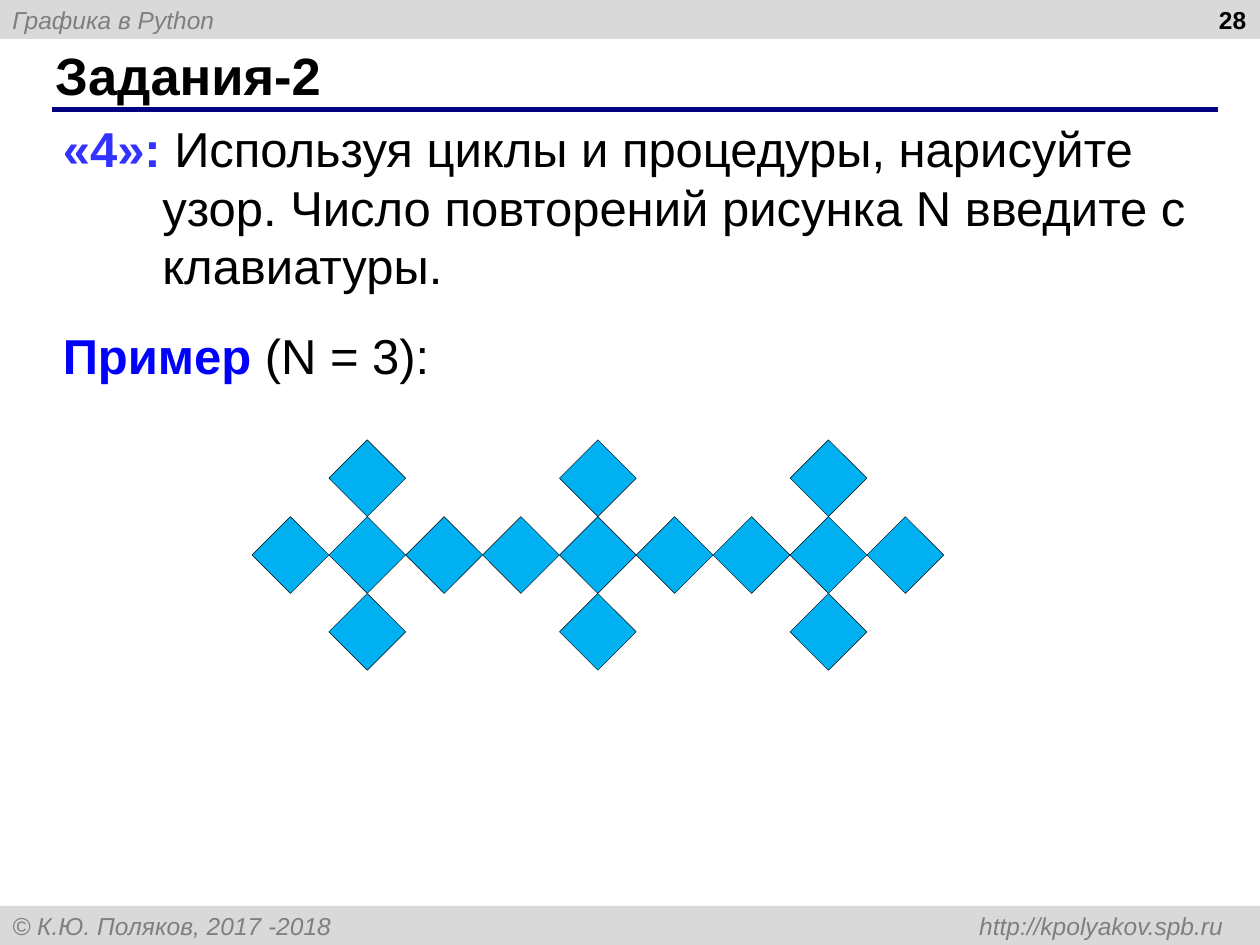
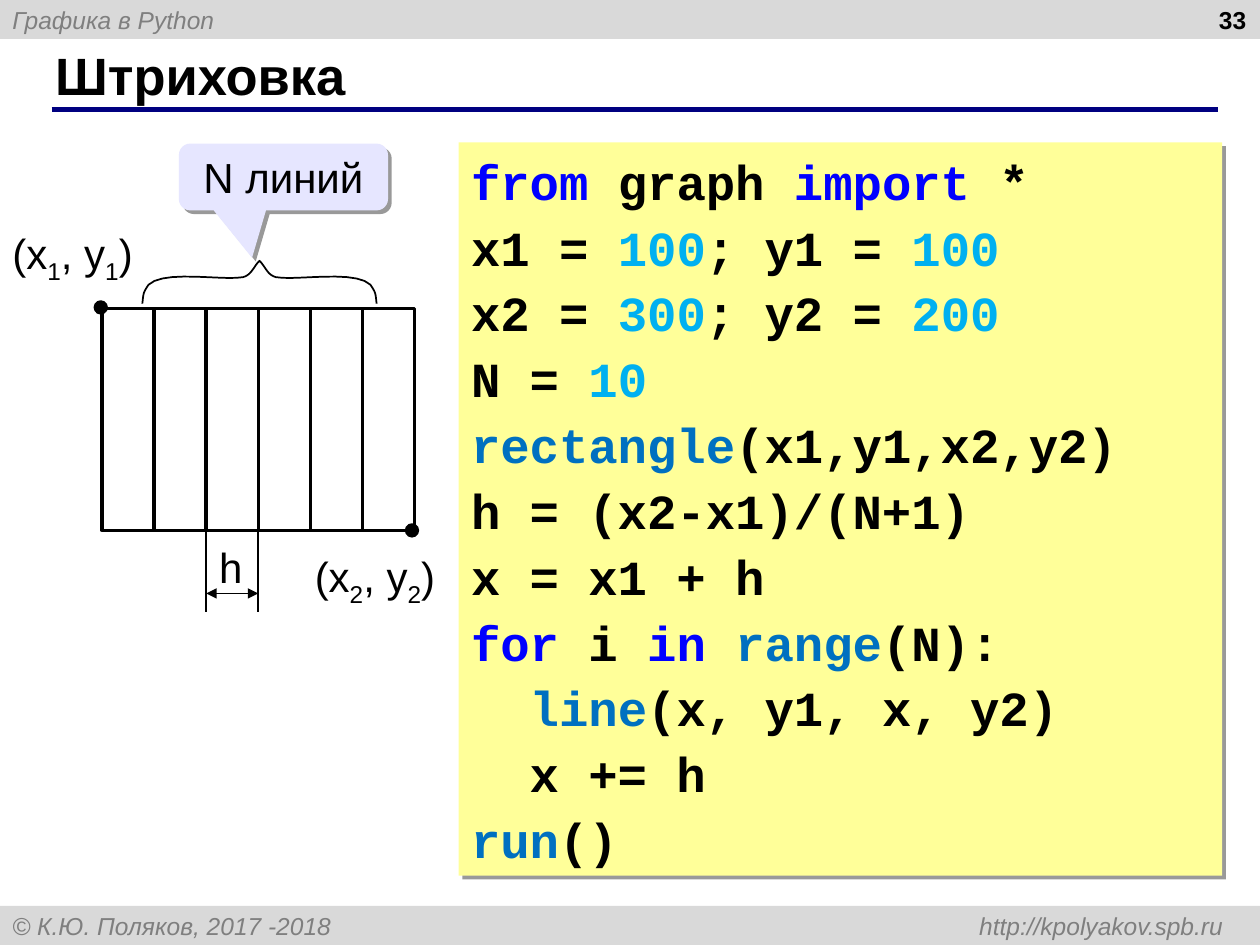
from lxml import etree
from pptx import Presentation
from pptx.dml.color import RGBColor
from pptx.enum.shapes import MSO_CONNECTOR, MSO_SHAPE
from pptx.enum.text import MSO_ANCHOR, PP_ALIGN
from pptx.oxml.ns import qn
from pptx.util import Inches, Pt

STRAIGHT = MSO_CONNECTOR.STRAIGHT
RECTANGLE, DIAMOND, OVAL = MSO_SHAPE.RECTANGLE, MSO_SHAPE.DIAMOND, MSO_SHAPE.OVAL
CALLOUT = MSO_SHAPE.ROUNDED_RECTANGULAR_CALLOUT
TOP, MIDDLE = MSO_ANCHOR.TOP, MSO_ANCHOR.MIDDLE
LEFT, CENTER, RIGHT = PP_ALIGN.LEFT, PP_ALIGN.CENTER, PP_ALIGN.RIGHT

SANS, MONO = "Arial", "Courier New"
BLACK, GRAY, BAND = "000000", "7F7F7F", "D9D9D9"
NAVY, BLUE, GRADE_BLUE = "000080", "0000FF", "3333FF"
NUMBER, FUNCTION = "00B0F0", "0070C0"
LAVENDER, YELLOW = "E6E6FF", "FFFF99"
BAND_HEIGHT = 0.31


def color(value):
    return RGBColor.from_string(value)


def add_run(paragraph, text, size, ink=BLACK, bold=False, italic=False, font=SANS):
    run = paragraph.add_run()
    run.text = text
    run.font.name = font
    run.font.size = Pt(size)
    run.font.bold = bold
    run.font.italic = italic
    run.font.color.rgb = color(ink)
    return run


def set_frame(shape, anchor=TOP, wrap=True, align=LEFT, top_inset=0.05):
    frame = shape.text_frame
    frame.word_wrap = wrap
    frame.vertical_anchor = anchor
    frame.margin_left = frame.margin_right = Inches(0.1)
    frame.margin_top, frame.margin_bottom = Inches(top_inset), Inches(0.05)
    frame.paragraphs[0].alignment = align
    return frame


def add_text_box(slide, left, top, width, height, **options):
    box = slide.shapes.add_textbox(Inches(left), Inches(top), Inches(width), Inches(height))
    return set_frame(box, **options)


def add_shape(shapes, kind, left, top, width, height, fill=None, line_width=None):
    shape = shapes.add_shape(kind, Inches(left), Inches(top), Inches(width), Inches(height))
    shape.shadow.inherit = False
    if fill:
        shape.fill.solid()
        shape.fill.fore_color.rgb = color(fill)
    else:
        shape.fill.background()
    if line_width:
        shape.line.color.rgb = color(BLACK)
        shape.line.width = Pt(line_width)
    else:
        shape.line.fill.background()
    return shape


def add_drop_shadow(shape):
    effects = shape._element.spPr.find(qn("a:effectLst"))
    shadow = etree.SubElement(effects, qn("a:outerShdw"), dist=str(Pt(3)),
                              dir="2700000", algn="tl", rotWithShape="0")
    ink = etree.SubElement(shadow, qn("a:srgbClr"), val=BLACK)
    etree.SubElement(ink, qn("a:alpha"), val="40000")


def add_line(slide, x1, y1, x2, y2, width, ink=BLACK, arrows=False):
    line = slide.shapes.add_connector(STRAIGHT, Inches(x1), Inches(y1), Inches(x2), Inches(y2))
    line.line.color.rgb = color(ink)
    line.line.width = Pt(width)
    if arrows:
        properties = line.line._get_or_add_ln()
        for end in ("a:headEnd", "a:tailEnd"):
            etree.SubElement(properties, qn(end), type="triangle")
    etree.SubElement(line._element.spPr, qn("a:effectLst"))
    return line


def add_band(slide, top, text, tab=None):
    band = add_shape(slide.shapes, RECTANGLE, 0, top, 10, BAND_HEIGHT, BAND)
    paragraph = set_frame(band, MIDDLE).paragraphs[0]
    if tab:
        tabs = etree.SubElement(paragraph._p.get_or_add_pPr(), qn("a:tabLst"))
        etree.SubElement(tabs, qn("a:tab"), pos=str(Inches(tab)), algn="r")
    add_run(paragraph, text, 14, GRAY, italic=True)


def add_base_slide(presentation, title, number):
    slide = presentation.slides.add_slide(presentation.slide_layouts[6])
    add_band(slide, 0, "Графика в Python")
    add_band(slide, 7.5 - BAND_HEIGHT,
             "© К.Ю. Поляков, 2017 -2018\thttp://kpolyakov.spb.ru", tab=9.61)
    add_line(slide, 0.41, 0.87, 9.67, 0.87, 3, NAVY)
    heading = add_text_box(slide, 0.34, 0.33, 9.16, 0.52, anchor=MIDDLE)
    add_run(heading.paragraphs[0], title, 30, bold=True)
    page = add_text_box(slide, 7.66, 0, 2.33, BAND_HEIGHT, anchor=MIDDLE, align=RIGHT)
    add_run(page.paragraphs[0], number, 14, bold=True)
    return slide


def add_lines(frame, lines, space, bold_ink_only, font=SANS, hanging=0):
    for index, runs in enumerate(lines):
        paragraph = frame.add_paragraph() if index else frame.paragraphs[0]
        paragraph.alignment = LEFT
        paragraph.space_before = Pt(space if index else 0)
        if hanging:
            properties = paragraph._p.get_or_add_pPr()
            properties.set("marL", str(Inches(hanging)))
            properties.set("indent", str(-Inches(hanging)))
        for text, ink in runs:
            bold = ink != BLACK or not bold_ink_only
            add_run(paragraph, text, 28, ink, bold=bold, font=font)


def add_cross(slide, left, top, size):
    group = slide.shapes.add_group_shape()
    for column, row in ((0, 1), (1, 1), (2, 1), (1, 0), (1, 2)):
        add_shape(group.shapes, DIAMOND, left + column * size, top + row * size,
                  size, size, NUMBER, 0.25)


def add_point_label(slide, left, top, index):
    paragraph = add_text_box(slide, left, top, 1.24, 0.56, wrap=False).paragraphs[0]
    for text in ("(x", index, ", y", index, ")"):
        run = add_run(paragraph, text, 24)
        if text == index:
            run._r.get_or_add_rPr().set("baseline", "-25000")


def curve_points(start, first, second, end, steps=10):
    for step in range(1, steps + 1):
        t = step / steps
        weights = ((1 - t) ** 3, 3 * t * (1 - t) ** 2, 3 * t ** 2 * (1 - t), t ** 3)
        yield tuple(sum(weight * point[axis] for weight, point
                        in zip(weights, (start, first, second, end))) for axis in (0, 1))


def add_brace(slide):
    half = [(1.13, 2.41)]
    for curve in (((1.14, 2.34), (1.13, 2.33), (1.18, 2.26)),
                  ((1.3, 2.14), (1.78, 2.23), (1.93, 2.2)),
                  ((2, 2.18), (2.01, 2.12), (2.06, 2.07))):
        half.extend(curve_points(half[-1], *curve))
    tip = half[-1][0]
    points = half + [(2 * tip - x, y) for x, y in reversed(half[:-1])]
    points = [(Inches(x), Inches(y)) for x, y in points]
    builder = slide.shapes.build_freeform(*points[0])
    builder.add_line_segments(points[1:], close=False)
    brace = builder.convert_to_shape()
    brace.shadow.inherit = False
    brace.fill.background()
    brace.line.color.rgb = color(BLACK)
    brace.line.width = Pt(1)


def add_hatching(slide):
    left, top, width, height, line_count = 0.81, 2.45, 2.48, 1.76, 5
    step, bottom = width / (line_count + 1), top + height
    rectangle = add_shape(slide.shapes, RECTANGLE, left, top, width, height, line_width=2)
    for x, y in ((0.75, 2.39), (3.22, 4.16)):
        add_shape(slide.shapes, OVAL, x, y, 0.1, 0.1, BLACK, 1)
    for index in range(1, line_count + 1):
        x = left + index * step
        line = add_line(slide, x, top, x, bottom, 2)
        if 2 * index == line_count + 1:
            line.begin_connect(rectangle, 0)
            line.end_connect(rectangle, 2)
    start, end = left + 2 * step, left + 3 * step
    for x in (start, end):
        add_line(slide, x, 4.15, x, 4.86, 1)
    add_line(slide, start, 4.71, end, 4.71, 1, arrows=True)
    step_label = add_text_box(slide, 1.64, 4.25, 0.38, 0.5, wrap=False)
    add_run(step_label.paragraphs[0], "h", 24)


def add_callout(slide):
    callout = add_shape(slide.shapes, CALLOUT, 1.42, 1.14, 1.66, 0.53, LAVENDER)
    for index, value in enumerate((-0.15, 1.21, 0.17)):
        callout.adjustments[index] = value
    add_drop_shadow(callout)
    frame = set_frame(callout, MIDDLE, align=CENTER)
    add_run(frame.paragraphs[0], "N линий", 24)


def add_code(slide, lines):
    panel = add_shape(slide.shapes, RECTANGLE, 3.64, 1.13, 6.06, 5.82, YELLOW)
    add_drop_shadow(panel)
    add_lines(set_frame(panel, top_inset=0.07), lines, 4, False, MONO)


def build_tasks(presentation):
    slide = add_base_slide(presentation, "Задания-2", "28")
    task = add_text_box(slide, 0.4, 0.89, 9.21, 2.3)
    add_lines(task, [
        [("«4»: ", GRADE_BLUE),
         ("Используя циклы и процедуры, нарисуйте узор. "
          "Число повторений рисунка N введите с клавиатуры.", BLACK)],
        [("Пример", BLUE), (" (N = 3):", BLACK)],
    ], 17.5, True, hanging=0.79)
    size = 0.61
    for index in range(3):
        add_cross(slide, 2 + index * 3 * size, 3.49, size)


def build_hatching(presentation):
    slide = add_base_slide(presentation, "Штриховка", "33")
    add_point_label(slide, 0, 1.76, "1")
    add_point_label(slide, 2.4, 4.32, "2")
    add_hatching(slide)
    add_callout(slide)
    add_brace(slide)
    add_code(slide, [
        [("from", BLUE), (" graph ", BLACK), ("import", BLUE), (" *", BLACK)],
        [("x1 = ", BLACK), ("100", NUMBER), ("; y1 = ", BLACK), ("100", NUMBER)],
        [("x2 = ", BLACK), ("300", NUMBER), ("; y2 = ", BLACK), ("200", NUMBER)],
        [("N = ", BLACK), ("10", NUMBER)],
        [("rectangle", FUNCTION), ("(x1,y1,x2,y2)", BLACK)],
        [("h = (x2-x1)/(N+1)", BLACK)],
        [("x = x1 + h", BLACK)],
        [("for", BLUE), (" i ", BLACK), ("in ", BLUE), ("range", FUNCTION), ("(N):", BLACK)],
        [("  ", BLACK), ("line", FUNCTION), ("(x, y1, x, y2)", BLACK)],
        [("  x += h", BLACK)],
        [("run", FUNCTION), ("()", BLACK)],
    ])


def main():
    presentation = Presentation()
    presentation.slide_width, presentation.slide_height = Inches(10), Inches(7.5)
    build_tasks(presentation)
    build_hatching(presentation)
    presentation.save("out.pptx")


if __name__ == "__main__":
    main()
